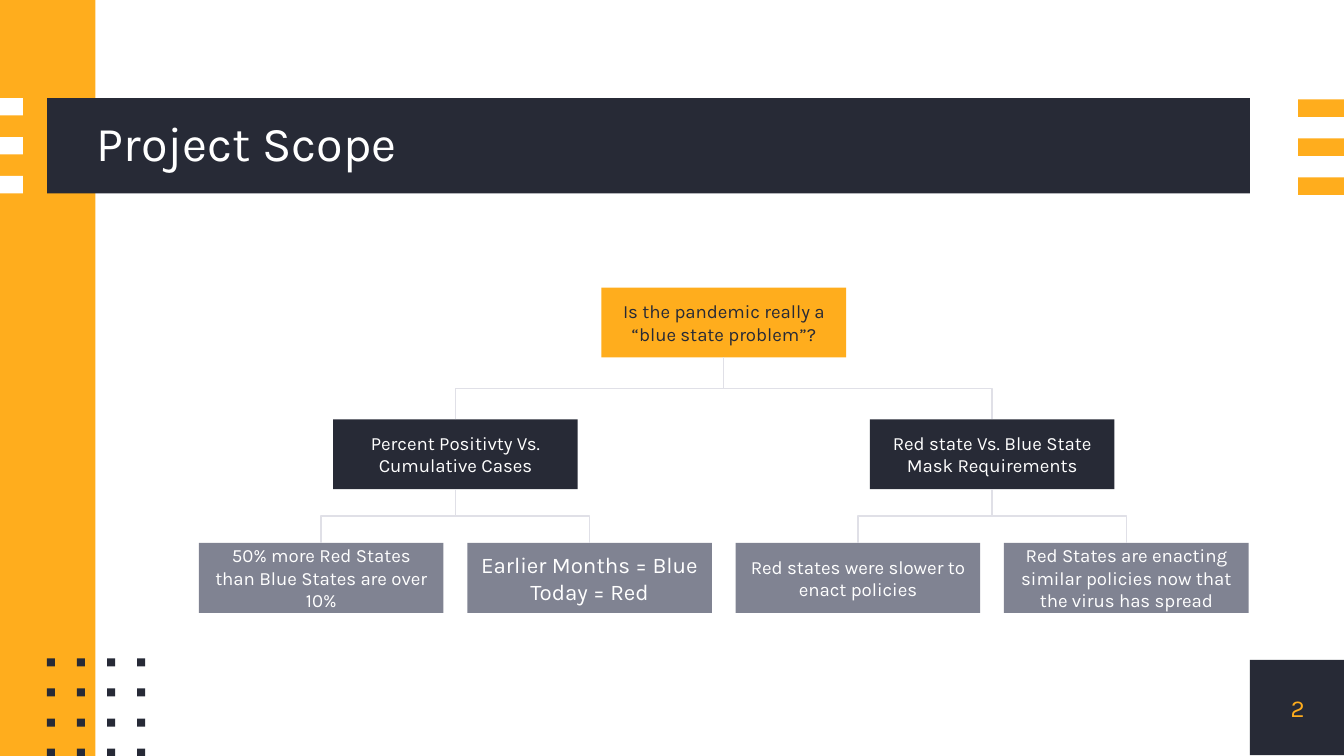
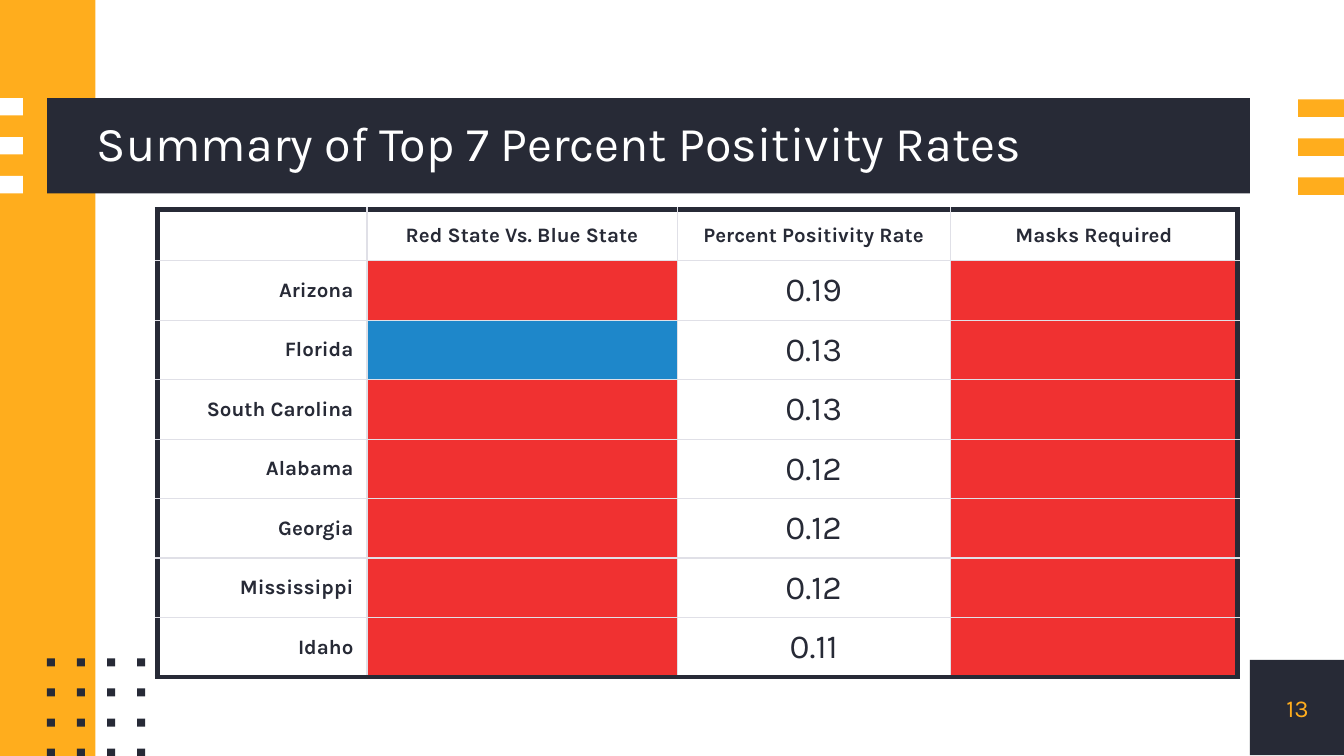
from copy import deepcopy
from lxml.etree import SubElement
from pptx import Presentation
from pptx.dml.color import RGBColor
from pptx.enum.shapes import MSO_CONNECTOR, MSO_SHAPE
from pptx.enum.text import MSO_ANCHOR, PP_ALIGN
from pptx.oxml.ns import qn
from pptx.util import Inches, Pt

NAVY = RGBColor(0x27, 0x2A, 0x36)
AMBER = RGBColor(0xFF, 0xAD, 0x1D)
WHITE = RGBColor(0xFF, 0xFF, 0xFF)
GRAY = RGBColor(0x80, 0x83, 0x92)
PALE = RGBColor(0xE0, 0xE0, 0xE7)
RED = RGBColor(0xF0, 0x31, 0x31)
BLUE = RGBColor(0x1E, 0x87, 0xCA)
FONT = "Karla"

SCOPE_TITLE, SCOPE_NUMBER = "Project Scope", "2"
QUESTION = "Is the pandemic really a “blue state problem”?"
BRANCHES = [
    ("Percent Positivty Vs. Cumulative Cases", [
        ("50% more Red States than Blue States are over 10%", 10),
        ("Earlier Months = Blue\vToday = Red", 12)]),
    ("Red state Vs. Blue State Mask Requirements", [
        ("Red states were slower to enact policies", 10),
        ("Red States are enacting similar policies now that the virus has spread", 10)]),
]

SUMMARY_TITLE, SUMMARY_NUMBER = "Summary of Top 7 Percent Positivity Rates", "13"
HEADINGS = ["", "Red State Vs. Blue State", "Percent Positivity Rate", "Masks Required"]
STATES = [
    ("Arizona", RED, "0.19", RED),
    ("Florida", BLUE, "0.13", RED),
    ("South Carolina", RED, "0.13", RED),
    ("Alabama", RED, "0.12", RED),
    ("Georgia", RED, "0.12", RED),
    ("Mississippi", RED, "0.12", RED),
    ("Idaho", RED, "0.11", RED),
]
UNRULED = {(5, 1, "B"), (6, 1, "T")}

WIDTH = 10
HEIGHT = WIDTH * 9 / 16
BAND_LEFT, BAND_TOP, BAND_HEIGHT = 0.35, 0.73, 0.71
BAND_RIGHT = 9.3
STRIPE_PITCH, STRIPE_HEIGHT = 0.29, 0.13
DOT_TOP, DOT_PITCH, DOT_SIZE = 4.9, 0.67 / 3, 0.06
BOX_WIDTH, BOX_HEIGHT = 1.82, 0.52
LEVEL_TOPS = (2.14, 3.12, 4.04)
LEAF_LEFT, LEAF_PITCH = 1.48, 5.99 / 3
TABLE_LEFT, TABLE_TOP, TABLE_HEIGHT, HEADER_HEIGHT = 1.17, 1.56, 3.48, 0.38
COLUMN_WIDTHS = (1.56, 2.31, 2.03, 2.14)
NO_STYLE = "{2D5ABB26-0587-4C30-8999-92F81FD0307C}"


def write(frame, text, size, color, align=PP_ALIGN.CENTER, bold=False, spacing=None):
    paragraph = frame.paragraphs[0]
    paragraph.text = text
    paragraph.alignment = align
    if spacing:
        paragraph.line_spacing = spacing
    look = {"size": Pt(size), "name": FONT, "bold": bold}
    for run in paragraph.runs:
        for key, value in look.items():
            setattr(run.font, key, value)
        run.font.color.rgb = color
    for line_break in paragraph._p.findall(qn("a:br")):
        line_break.append(deepcopy(paragraph.runs[0]._r.rPr))


def set_frame(frame, inset):
    settings = {"word_wrap": True, "vertical_anchor": MSO_ANCHOR.MIDDLE}
    settings.update({f"margin_{side}": Inches(inset)
                     for side in ("left", "top", "right", "bottom")})
    for key, value in settings.items():
        setattr(frame, key, value)


def add_rect(slide, left, top, width, height, color):
    rect = slide.shapes.add_shape(MSO_SHAPE.RECTANGLE, *map(Inches, (left, top, width, height)))
    rect.shadow.inherit = False
    rect.fill.solid()
    rect.fill.fore_color.rgb = color
    rect.line.fill.background()
    return rect


def add_label(slide, area, *args, **options):
    frame = slide.shapes.add_textbox(*map(Inches, area)).text_frame
    set_frame(frame, 0)
    write(frame, *args, **options)


def add_base(deck, title, number):
    slide = deck.slides.add_slide(deck.slide_layouts[6])
    corner = (BAND_RIGHT, 4.91, 0.71, 0.71)
    add_rect(slide, *corner, NAVY)
    add_rect(slide, 0, 0, 0.71, HEIGHT, AMBER)
    add_rect(slide, BAND_LEFT, BAND_TOP, BAND_RIGHT - BAND_LEFT, BAND_HEIGHT, NAVY)
    for i in range(3):
        top = BAND_TOP + i * STRIPE_PITCH
        add_rect(slide, 0, top, 0.17, STRIPE_HEIGHT, WHITE)
        add_rect(slide, 9.66, top + 0.01, 0.34, STRIPE_HEIGHT, AMBER)
    for row in range(4):
        for column in range(4):
            add_rect(slide, BAND_LEFT + column * DOT_PITCH, DOT_TOP + row * DOT_PITCH,
                     DOT_SIZE, DOT_SIZE, NAVY)
    add_label(slide, corner, number, 13, AMBER)
    add_label(slide, (0.72, BAND_TOP, 8.58, BAND_HEIGHT), title, 26, WHITE,
              align=PP_ALIGN.LEFT, spacing=0.9)
    return slide


def add_box(slide, left, level, text, size, fill, color):
    box = add_rect(slide, left, LEVEL_TOPS[level], BOX_WIDTH, BOX_HEIGHT, fill)
    set_frame(box.text_frame, 0.1)
    write(box.text_frame, text, size, color)


def add_elbow(slide, parent_left, child_left, level):
    top, bottom = LEVEL_TOPS[level] + BOX_HEIGHT, LEVEL_TOPS[level + 1]
    center_x = (parent_left + child_left + BOX_WIDTH) / 2
    center_y = (top + bottom) / 2
    half_span = abs(child_left - parent_left) / 2
    half_drop = (bottom - top) / 2 * (1 if child_left > parent_left else -1)
    elbow = slide.shapes.add_connector(
        MSO_CONNECTOR.ELBOW,
        Inches(center_x + half_drop), Inches(center_y - half_span),
        Inches(center_x - half_drop), Inches(center_y + half_span))
    elbow.line.color.rgb = PALE
    elbow.line.width = Pt(0.75)
    properties = elbow._element.spPr
    properties.find(qn("a:xfrm")).set("rot", str(270 * 60000))
    SubElement(properties, qn("a:effectLst"))


def add_tree(slide):
    branch_lefts = []
    for i, (branch, leaves) in enumerate(BRANCHES):
        leaf_lefts = [LEAF_LEFT + (i * len(leaves) + j) * LEAF_PITCH for j in range(len(leaves))]
        branch_left = sum(leaf_lefts) / len(leaf_lefts)
        branch_lefts.append(branch_left)
        add_box(slide, branch_left, 1, branch, 10, NAVY, WHITE)
        for left, (leaf, size) in zip(leaf_lefts, leaves):
            add_box(slide, left, 2, leaf, size, GRAY, WHITE)
            add_elbow(slide, branch_left, left, 1)
    question_left = sum(branch_lefts) / len(branch_lefts)
    add_box(slide, question_left, 0, QUESTION, 10, AMBER, NAVY)
    for left in branch_lefts:
        add_elbow(slide, question_left, left, 0)


def set_borders(cell, row, column):
    outer = {"L": column == 0, "R": column == len(HEADINGS) - 1,
             "T": row == 0, "B": row == len(STATES)}
    for side, is_outer in outer.items():
        if (row, column, side) in UNRULED:
            continue
        border = SubElement(cell._tc.get_or_add_tcPr(), qn(f"a:ln{side}"),
                            w=str(Pt(3 if is_outer else 0.75)))
        fill = SubElement(border, qn("a:solidFill"))
        SubElement(fill, qn("a:srgbClr"), val=str(NAVY if is_outer else PALE))


def fill_cell(cell, row, column, content):
    set_borders(cell, row, column)
    is_text = isinstance(content, str)
    cell.vertical_anchor = MSO_ANCHOR.MIDDLE
    cell.margin_left = cell.margin_right = Inches(0.1)
    cell.margin_top = cell.margin_bottom = Inches(0.07 if is_text and content else 0)
    if not is_text:
        cell.fill.solid()
        cell.fill.fore_color.rgb = content
        return
    cell.fill.background()
    if content:
        is_rate = row > 0 and column == 2
        align = PP_ALIGN.RIGHT if column == 0 else PP_ALIGN.CENTER
        write(cell.text_frame, content, 18 if is_rate else 11, NAVY, align, bold=not is_rate)


def add_summary(slide):
    rows = [HEADINGS, *STATES]
    frame = slide.shapes.add_table(
        len(rows), len(HEADINGS), Inches(TABLE_LEFT), Inches(TABLE_TOP),
        Inches(sum(COLUMN_WIDTHS)), Inches(TABLE_HEIGHT))
    table = frame.table
    table.first_row = table.horz_banding = False
    table._tbl.tblPr.find(qn("a:tableStyleId")).text = NO_STYLE
    for column, width in zip(table.columns, COLUMN_WIDTHS):
        column.width = Inches(width)
    state_height = (TABLE_HEIGHT - HEADER_HEIGHT) / len(STATES)
    for r, contents in enumerate(rows):
        table.rows[r].height = Inches(state_height if r else HEADER_HEIGHT)
        for c, content in enumerate(contents):
            fill_cell(table.cell(r, c), r, c, content)


def main():
    deck = Presentation()
    deck.slide_width, deck.slide_height = Inches(WIDTH), Inches(HEIGHT)
    add_tree(add_base(deck, SCOPE_TITLE, SCOPE_NUMBER))
    add_summary(add_base(deck, SUMMARY_TITLE, SUMMARY_NUMBER))
    deck.save("out.pptx")


if __name__ == "__main__":
    main()
